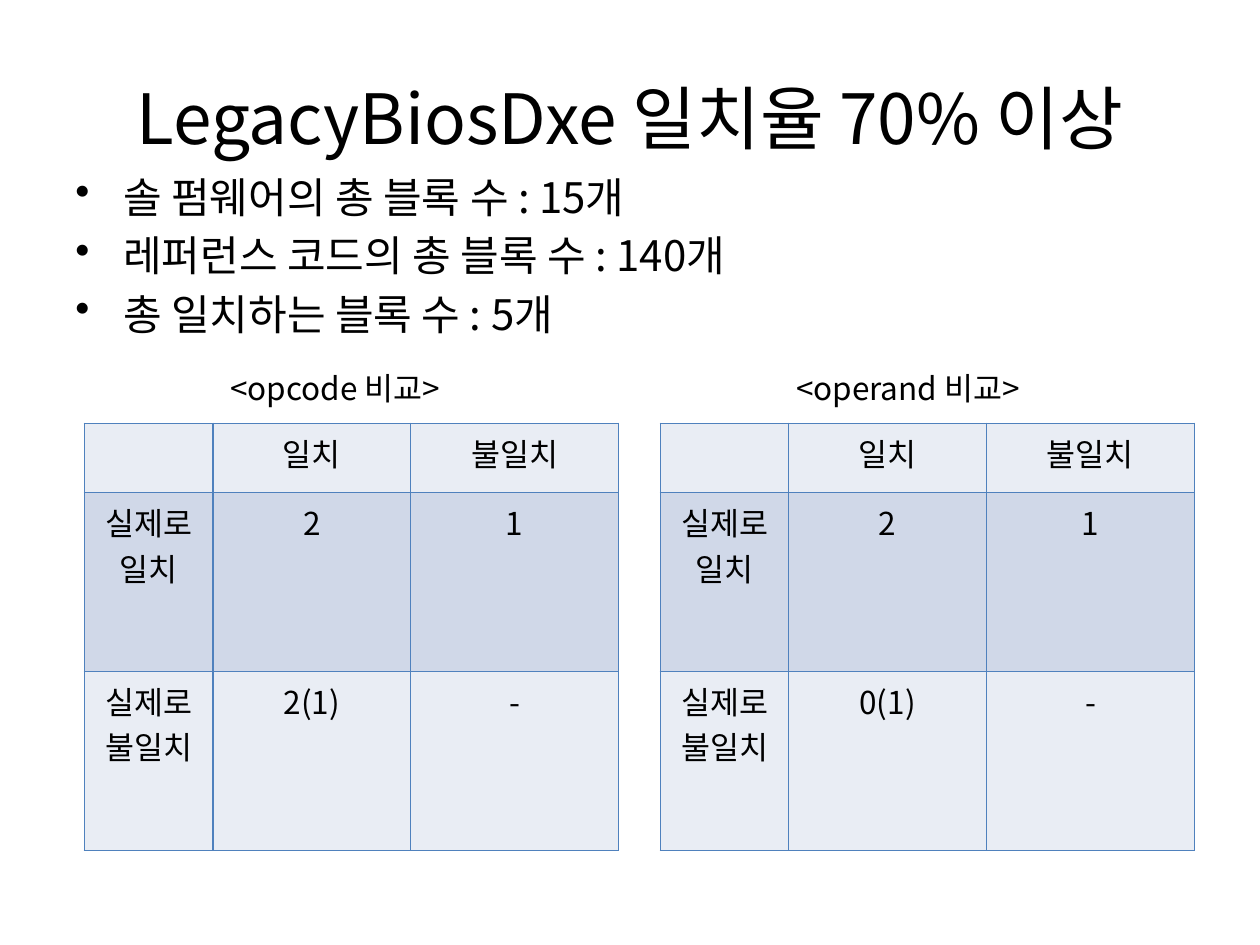
import pptx
import pptx.util
import pptx.dml.color
import pptx.enum.text
import pptx.oxml
import pptx.oxml.ns
from lxml import etree

Inches, Pt = pptx.util.Inches, pptx.util.Pt
RGB = pptx.dml.color.RGBColor.from_string
ALIGN = pptx.enum.text.PP_ALIGN
ANCHOR = pptx.enum.text.MSO_ANCHOR
qn = pptx.oxml.ns.qn

THEME = {
    "font": "Noto Sans CJK KR", "text": "000000", "border": "4F81BD",
    "bands": ["E9EDF4", "D0D8E8"],
    "title": 39.6, "body": 24, "table": 18,
}

# Content
TITLE = "LegacyBiosDxe 일치율 70% 이상"
BLOCK_COUNTS = [
    "솔 펌웨어의 총 블록 수 : 15개",
    "레퍼런스 코드의 총 블록 수 : 140개",
    "총 일치하는 블록 수 : 5개",
]
HEADER = ["", "일치", "불일치"]
COMPARISONS = [
    {"caption": "<opcode 비교>", "left": 0.67, "caption_box": (1.73, 2.01),
     "rows": [HEADER, ["실제로 일치", "2", "1"], ["실제로 불일치", "2(1)", "-"]]},
    {"caption": "<operand 비교>", "left": 5.24, "caption_box": (6.22, 2.11),
     "rows": [HEADER, ["실제로 일치", "2", "1"], ["실제로 불일치", "0(1)", "-"]]},
]
TABLE_TOP, CAPTION_TOP, CAPTION_HEIGHT = 3.36, 2.88, 0.4
COLUMN_WIDTHS = [1.02, 1.57, 1.65]
ROW_HEIGHTS = [0.55, 1.42, 1.42]


def style(paragraph, size, align=ALIGN.LEFT):
    paragraph.alignment = align
    font = paragraph.font
    font.size = Pt(size)
    font.color.rgb = RGB(THEME["text"])
    font.name = THEME["font"]
    # East Asian typeface for the Korean text
    latin = paragraph._p.pPr.find(qn("a:defRPr")).find(qn("a:latin"))
    east_asian = etree.Element(qn("a:ea"), typeface=THEME["font"])
    latin.addnext(east_asian)


def add_text(slide, box, lines, size, align=ALIGN.LEFT, anchor=ANCHOR.TOP, wrap=True):
    frame = slide.shapes.add_textbox(*map(Inches, box)).text_frame
    frame.word_wrap = wrap
    frame.vertical_anchor = anchor
    frame.text = "\n".join(lines)
    for paragraph in frame.paragraphs:
        style(paragraph, size, align)
    return frame


def add_bullet(paragraph):
    paragraph.space_before = Pt(0.2 * THEME["body"])
    properties = paragraph._p.pPr
    properties.set("marL", str(Inches(0.38)))
    properties.set("indent", str(-Inches(0.38)))
    bullet = etree.Element(qn("a:buChar"), char="•")
    properties.find(qn("a:defRPr")).addprevious(bullet)


def add_borders(cell):
    for side in ("lnL", "lnR", "lnT", "lnB"):
        line = etree.SubElement(cell._tc.get_or_add_tcPr(), qn(f"a:{side}"), w=str(Pt(1)))
        fill = etree.SubElement(line, qn("a:solidFill"))
        etree.SubElement(fill, qn("a:srgbClr"), val=THEME["border"])


def add_comparison(slide, comparison):
    rows = comparison["rows"]
    table = slide.shapes.add_table(
        len(rows), len(COLUMN_WIDTHS), Inches(comparison["left"]), Inches(TABLE_TOP),
        Inches(sum(COLUMN_WIDTHS)), Inches(sum(ROW_HEIGHTS))).table
    table.first_row = table.horz_banding = False
    for column, width in zip(table.columns, COLUMN_WIDTHS):
        column.width = Inches(width)
    for r, (values, height) in enumerate(zip(rows, ROW_HEIGHTS)):
        table.rows[r].height = Inches(height)
        for c, value in enumerate(values):
            cell = table.cell(r, c)
            cell.text = value
            style(cell.text_frame.paragraphs[0], THEME["table"], ALIGN.CENTER)
            add_borders(cell)
            cell.fill.solid()
            cell.fill.fore_color.rgb = RGB(THEME["bands"][r % 2])

    # Caption above the table
    left, width = comparison["caption_box"]
    caption = add_text(slide, (left, CAPTION_TOP, width, CAPTION_HEIGHT),
                       [comparison["caption"]], THEME["table"], wrap=False)
    caption.auto_size = pptx.enum.text.MSO_AUTO_SIZE.SHAPE_TO_FIT_TEXT


def main():
    deck = pptx.Presentation()
    deck.slide_width, deck.slide_height = Inches(10), Inches(7.5)
    slide = deck.slides.add_slide(deck.slide_layouts[6])

    # Title and block counts
    add_text(slide, (0.5, 0.3, 9, 1.25), [TITLE], THEME["title"], ALIGN.CENTER, ANCHOR.MIDDLE)
    counts = add_text(slide, (0.5, 1.31, 9, 1.53), BLOCK_COUNTS, THEME["body"])
    for paragraph in counts.paragraphs:
        add_bullet(paragraph)

    # Comparison tables
    for comparison in COMPARISONS:
        add_comparison(slide, comparison)

    deck.save("out.pptx")


if __name__ == "__main__":
    main()
